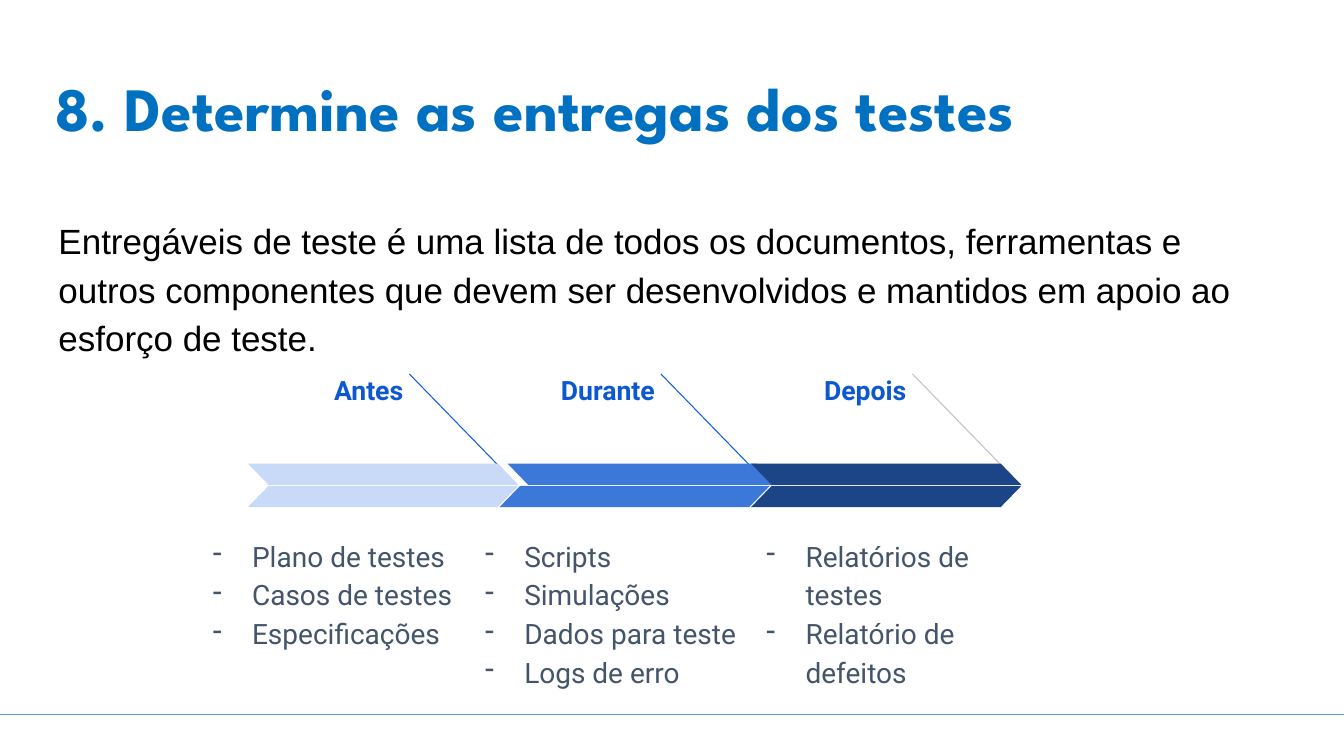
from pptx import Presentation
from pptx.dml.color import RGBColor
from pptx.enum.shapes import MSO_CONNECTOR, MSO_SHAPE
from pptx.enum.text import MSO_ANCHOR, MSO_AUTO_SIZE, PP_ALIGN
from pptx.oxml.ns import qn
from pptx.util import Inches, Pt
from lxml import etree

STRAIGHT = MSO_CONNECTOR.STRAIGHT
SLANT = MSO_SHAPE.PARALLELOGRAM
MIDDLE, TOP = MSO_ANCHOR.MIDDLE, MSO_ANCHOR.TOP
LEFT, RIGHT = PP_ALIGN.LEFT, PP_ALIGN.RIGHT
NO_FIT = MSO_AUTO_SIZE.NONE

WIDE, HIGH = 13.33, 7.5
MARGIN, SPAN = 0.45, 12.42
START, STEP, BAR = 2.46, 2.495, 2.68
ROWS = {"title": 0.65, "body": 1.99, "label": 3.53, "line": 3.71,
        "upper": 4.6, "join": 4.79, "lower": 4.82, "list": 5.17, "rule": 7.09}
COLORS = {"title": "0070C0", "body": "000000", "label": "0C58D3", "list": "44546A",
          "rule": "5B9BD5", "blue": "0D5DDF", "gray": "C2C2C2",
          "pale": "C9DAF8", "mid": "3C78D8", "dark": "1C4587"}
STAGES = [
    {"name": "Antes", "wide": 1.35, "fill": "pale", "line": "blue", "gap": 0, "list": (1.87, 3.29),
     "items": ["Plano de testes", "Casos de testes", "Especificações"]},
    {"name": "Durante", "wide": 1.67, "fill": "mid", "line": "blue", "gap": 0.08, "list": (4.57, 3.03),
     "items": ["Scripts", "Simulações", "Dados para teste", "Logs de erro"]},
    {"name": "Depois", "wide": 1.67, "fill": "dark", "line": "gray", "gap": 0, "list": (7.36, 3.03),
     "items": ["Relatórios de testes", "Relatório de defeitos"]},
]


def color(key):
    """Return the named colour."""
    return RGBColor.from_string(COLORS[key])


def place(shape, left, top, width, height):
    """Put a shape at a spot given in inches."""
    shape.left, shape.top = Inches(left), Inches(top)
    shape.width, shape.height = Inches(width), Inches(height)


def write(shape, lines, font, size, key, bold=False, align=LEFT, space=1.15,
          inset=(0.13, 0.13), anchor=TOP):
    """Fill a shape with evenly styled paragraphs and return them."""
    frame = shape.text_frame
    frame.word_wrap, frame.auto_size = True, NO_FIT
    frame.vertical_anchor = anchor
    frame.margin_left = frame.margin_right = Inches(inset[0])
    frame.margin_top = frame.margin_bottom = Inches(inset[1])
    frame.text = "\n".join(lines)
    for para in frame.paragraphs:
        para.alignment, para.line_spacing = align, space
        para.space_before = para.space_after = Pt(0)
        para.font.name, para.font.size = font, Pt(size)
        para.font.bold = bold
        para.font.color.rgb = color(key)
    return frame.paragraphs


def bullet(para, mark=None):
    """Give a paragraph a hanging mark, or none."""
    props = para._p.get_or_add_pPr()
    props.set("marL", str(Inches(0.5) if mark else 0))
    props.set("indent", str(Inches(-0.39) if mark else 0))
    item = etree.Element(qn("a:buChar" if mark else "a:buNone"))
    if mark:
        item.set("char", mark)
    props.find(qn("a:defRPr")).addprevious(item)


def rule(slide, begin, end, key):
    """Draw a thin straight line."""
    line = slide.shapes.add_connector(STRAIGHT, *map(Inches, begin + end))
    line.line.color.rgb, line.line.width = color(key), Pt(0.75)
    etree.SubElement(line.element.spPr, qn("a:effectLst"))


def band(slide, left, top, key, flip=False):
    """Draw one slanted half of an arrow."""
    half = slide.shapes.add_shape(SLANT, *map(Inches, (left, top, BAR, 0.21)))
    half.adjustments[0] = 0.97
    half.fill.solid()
    half.fill.fore_color.rgb = color(key)
    half.line.fill.background()
    half.shadow.inherit = False
    if flip:
        half.element.spPr.get_or_add_xfrm().set("flipH", "1")


def text_box(slide, left, top, width, height):
    """Add an empty text box."""
    return slide.shapes.add_textbox(*map(Inches, (left, top, width, height)))


def stage(slide, index, data):
    """Draw a stage with its label, arrow and list."""
    left = START + index * STEP
    wide = data["wide"]
    label = text_box(slide, left + 1.67 - wide, ROWS["label"], wide, 0.35)
    para = write(label, [data["name"]], "Roboto", 19, "label", True, RIGHT)[0]
    para.space_after = Pt(21)
    spot, width = data["list"]
    notes = text_box(slide, spot, ROWS["list"], width, 1.89)
    for para in write(notes, data["items"], "Roboto", 20, "list"):
        bullet(para, "-")
    rule(slide, (left + 1.6, ROWS["line"]), (left + 2.65, ROWS["join"]), data["line"])
    band(slide, left + data["gap"], ROWS["upper"], data["fill"], True)
    band(slide, left, ROWS["lower"], data["fill"])


def main():
    """Build and save the slide."""
    deck = Presentation()
    deck.slide_width, deck.slide_height = Inches(WIDE), Inches(HIGH)
    slide = deck.slides.add_slide(deck.slide_layouts[1])
    title, body = slide.placeholders
    place(title, MARGIN, ROWS["title"], SPAN, 0.91)
    write(title, ["8. Determine as entregas dos testes"], "League Spartan", 44, "title",
          True, space=0.9, inset=(0.1, 0.05), anchor=MIDDLE)
    place(body, MARGIN, ROWS["body"], SPAN, 4.67)
    para = write(body, ["Entregáveis de teste é uma lista de todos os documentos, ferramentas e "
                        "outros componentes que devem ser desenvolvidos e mantidos em apoio ao "
                        "esforço de teste."], "Arial", 25, "body")[0]
    para.space_before = Pt(10)
    bullet(para)
    rule(slide, (0, ROWS["rule"]), (WIDE, ROWS["rule"]), "rule")
    for index, data in enumerate(STAGES):
        stage(slide, index, data)
    deck.save("out.pptx")


if __name__ == "__main__":
    main()
